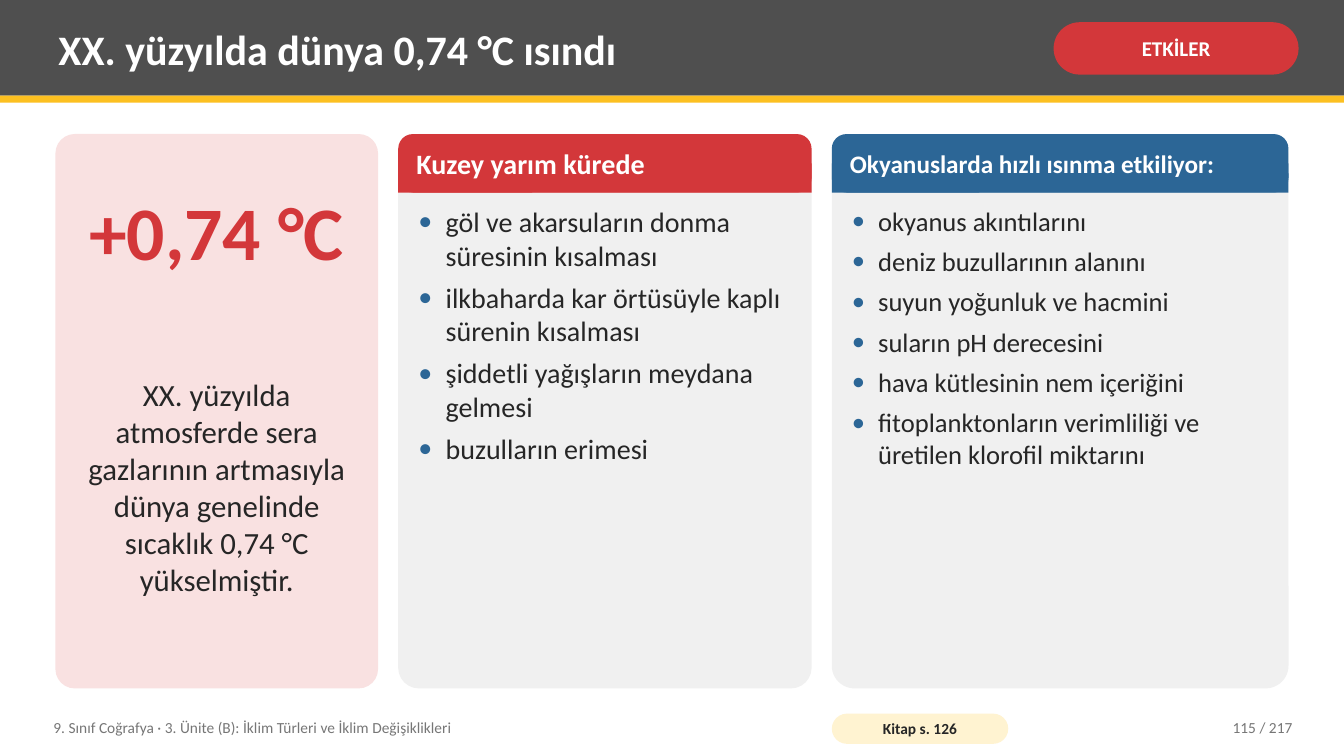
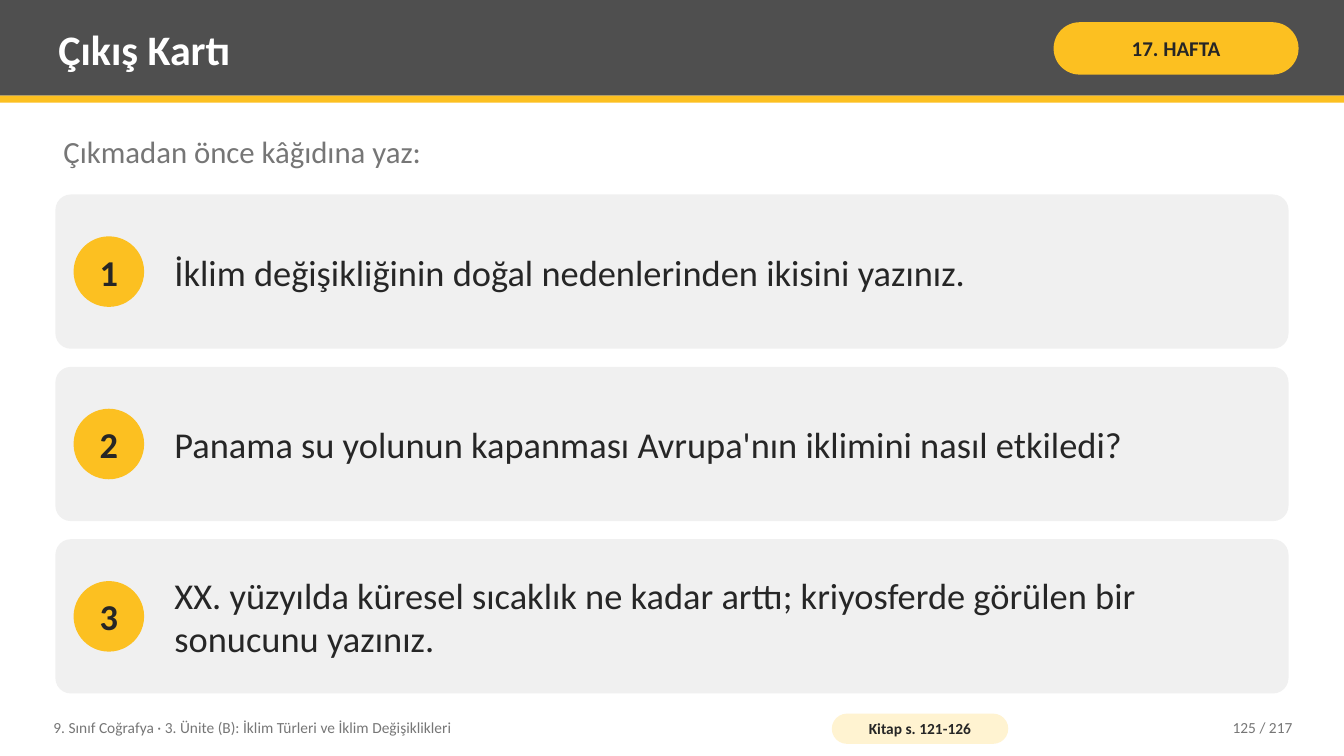
import pptx
import pptx.util
import pptx.dml.color
import pptx.enum.shapes
import pptx.enum.text
import pptx.oxml.ns
import lxml.etree

Inches = pptx.util.Inches
Pt = pptx.util.Pt
RGB = pptx.dml.color.RGBColor.from_string
SHAPE = pptx.enum.shapes.MSO_SHAPE
ALIGN = pptx.enum.text.PP_ALIGN
ANCHOR = pptx.enum.text.MSO_ANCHOR

COURSE = "9. Sınıf Coğrafya · 3. Ünite (B): İklim Türleri ve İklim Değişiklikleri"
TOTAL = 217

WARMING = {
    "title": "XX. yüzyılda dünya 0,74 °C ısındı",
    "tag": ("ETKİLER", "red", "white"),
    "book": "Kitap s. 126",
    "page": 115,
    "figure": "+0,74 °C",
    "note": "XX. yüzyılda atmosferde sera gazlarının artmasıyla dünya genelinde "
            "sıcaklık 0,74 °C yükselmiştir.",
    "cards": [
        {"head": "Kuzey yarım kürede", "color": "red", "width": 4.1,
         "head_size": 20, "size": 20, "indent": 0.27,
         "items": ["göl ve akarsuların donma süresinin kısalması",
                   "ilkbaharda kar örtüsüyle kaplı sürenin kısalması",
                   "şiddetli yağışların meydana gelmesi",
                   "buzulların erimesi"]},
        {"head": "Okyanuslarda hızlı ısınma etkiliyor:", "color": "blue", "width": 4.53,
         "head_size": 18, "size": 19, "indent": 0.26,
         "items": ["okyanus akıntılarını",
                   "deniz buzullarının alanını",
                   "suyun yoğunluk ve hacmini",
                   "suların pH derecesini",
                   "hava kütlesinin nem içeriğini",
                   "fitoplanktonların verimliliği ve üretilen klorofil miktarını"]},
    ],
}

EXIT_CARD = {
    "title": "Çıkış Kartı",
    "tag": ("17. HAFTA", "yellow", "ink"),
    "book": "Kitap s. 121-126",
    "page": 125,
    "prompt": "Çıkmadan önce kâğıdına yaz:",
    "questions": [
        "İklim değişikliğinin doğal nedenlerinden ikisini yazınız.",
        "Panama su yolunun kapanması Avrupa'nın iklimini nasıl etkiledi?",
        "XX. yüzyılda küresel sıcaklık ne kadar arttı; kriyosferde görülen bir "
        "sonucunu yazınız.",
    ],
}

THEME = {
    "font": "Calibri",
    "colors": {"band": "4F4F4F", "yellow": "FCC021", "red": "D3373A", "blue": "2C6696",
               "pink": "F9E1E1", "card": "F0F0F0", "cream": "FFF3D1", "ink": "262626",
               "muted": "767676", "white": "FFFFFF"},
    "sizes": {"title": 30, "tag": 15, "figure": 54, "body": 22, "question": 26, "footer": 11},
}
SIZES = THEME["sizes"]
WIDTH, HEIGHT = 13.33, 7.5
LEFT, CONTENT_W = 0.55, 12.23


def color(name):
    return RGB(THEME["colors"][name])


def write(sp, lines, size, ink="ink", bold=False, align=ALIGN.LEFT,
          anchor=ANCHOR.MIDDLE, inset=(0.08, 0.04), wrap=True, after=0):
    tf = sp.text_frame
    dx, dy = map(Inches, inset)
    frame = {"margin_left": dx, "margin_right": dx, "margin_top": dy, "margin_bottom": dy,
             "vertical_anchor": anchor, "word_wrap": wrap}
    for name, value in frame.items():
        setattr(tf, name, value)
    for i, line in enumerate(lines):
        p = tf.add_paragraph() if i else tf.paragraphs[0]
        p.alignment = align
        if after and i < len(lines) - 1:
            p.space_after = Pt(after)
        r = p.add_run()
        r.text = line
        style = {"name": THEME["font"], "size": Pt(size), "bold": bold}
        for name, value in style.items():
            setattr(r.font, name, value)
        r.font.color.rgb = color(ink)
    return tf


def add_text(s, box, text, size, **style):
    lines = text if isinstance(text, list) else [text]
    return write(s.shapes.add_textbox(*map(Inches, box)), lines, size, **style)


def add_block(s, kind, box, fill, radius=None):
    sp = s.shapes.add_shape(kind, *map(Inches, box))
    sp.shadow.inherit = False
    sp.fill.solid()
    sp.fill.fore_color.rgb = color(fill)
    sp.line.fill.background()
    if radius is not None:
        sp.adjustments[0] = radius
    return sp


def add_pill(s, box, fill, text, size, inset, ink="ink"):
    sp = add_block(s, SHAPE.ROUNDED_RECTANGLE, box, fill, 0.5)
    write(sp, [text], size, ink=ink, bold=True, align=ALIGN.CENTER, inset=inset)


def add_bullets(tf, indent):
    qn = pptx.oxml.ns.qn
    for p in tf.paragraphs:
        pPr = p._p.get_or_add_pPr()
        pPr.set("marL", str(Inches(indent)))
        pPr.set("indent", str(-Inches(indent)))
        clr = lxml.etree.SubElement(pPr, qn("a:buClr"))
        lxml.etree.SubElement(clr, qn("a:srgbClr"), val=THEME["colors"]["blue"])
        lxml.etree.SubElement(pPr, qn("a:buFont"), typeface=THEME["font"])
        lxml.etree.SubElement(pPr, qn("a:buChar"), char="•")


def add_base(prs, data):
    s = prs.slides.add_slide(prs.slide_layouts[6])
    add_block(s, SHAPE.RECTANGLE, (0, 0, WIDTH, 0.95), "band")
    add_block(s, SHAPE.RECTANGLE, (0, 0.95, WIDTH, 0.07), "yellow")
    add_text(s, (0.5, 0.07, 9.75, 0.82), data["title"], SIZES["title"], ink="white", bold=True)
    tag, fill, ink = data["tag"]
    add_pill(s, (10.45, 0.22, 2.43, 0.52), fill, tag, SIZES["tag"], (0.05, 0.02), ink)
    add_text(s, (0.45, 7.04, 7.6, 0.36), COURSE, SIZES["footer"], ink="muted")
    add_pill(s, (8.25, 7.08, 1.75, 0.3), "cream", data["book"], SIZES["footer"], (0.04, 0))
    add_text(s, (11.3, 7.04, 1.6, 0.36), f"{data['page']} / {TOTAL}", SIZES["footer"],
             ink="muted", align=ALIGN.RIGHT)
    return s


def add_card(s, card, x, top, height):
    w, head_h = card["width"], 0.58
    add_block(s, SHAPE.ROUNDED_RECTANGLE, (x, top, w, height), "card", 0.05)
    add_block(s, SHAPE.ROUNDED_RECTANGLE, (x, top, w, head_h), card["color"], 0.25)
    add_block(s, SHAPE.RECTANGLE, (x, top + head_h / 2, w, head_h / 2), card["color"])
    add_text(s, (x + 0.1, top, w - 0.2, head_h), card["head"], card["head_size"],
             ink="white", bold=True)
    tf = add_text(s, (x + 0.12, top + head_h + 0.08, w - 0.24, height - head_h - 0.16),
                  card["items"], card["size"], anchor=ANCHOR.TOP, after=6)
    add_bullets(tf, card["indent"])


def build_warming(prs, data):
    s = add_base(prs, data)
    top, height, figure_w, gap = 1.33, 5.5, 3.2, 0.2
    add_block(s, SHAPE.ROUNDED_RECTANGLE, (LEFT, top, figure_w, height), "pink", 0.06)
    add_text(s, (LEFT, top + 0.3, figure_w, 1.3), data["figure"], SIZES["figure"],
             ink="red", bold=True, align=ALIGN.CENTER)
    add_text(s, (LEFT + 0.15, top + 1.75, figure_w - 0.3, 3.5), data["note"], SIZES["body"],
             align=ALIGN.CENTER)
    x = LEFT + figure_w + gap
    for card in data["cards"]:
        add_card(s, card, x, top, height)
        x += card["width"] + gap


def build_exit_card(prs, data):
    s = add_base(prs, data)
    add_text(s, (LEFT, 1.28, CONTENT_W, 0.55), data["prompt"], SIZES["body"],
             ink="muted", anchor=ANCHOR.TOP)
    top, row_h, gap, dot = 1.93, 1.53, 0.18, 0.7
    for i, question in enumerate(data["questions"]):
        y = top + i * (row_h + gap)
        add_block(s, SHAPE.ROUNDED_RECTANGLE, (LEFT, y, CONTENT_W, row_h), "card", 0.1)
        sp = add_block(s, SHAPE.OVAL, (LEFT + 0.18, y + (row_h - dot) / 2, dot, dot), "yellow")
        write(sp, [str(i + 1)], SIZES["question"], bold=True, align=ALIGN.CENTER,
              inset=(0, 0), wrap=False)
        add_text(s, (LEFT + 1.1, y, CONTENT_W - 1.3, row_h), question, SIZES["question"])


def main():
    prs = pptx.Presentation()
    prs.slide_width, prs.slide_height = Inches(WIDTH), Inches(HEIGHT)
    build_warming(prs, WARMING)
    build_exit_card(prs, EXIT_CARD)
    prs.save("out.pptx")


if __name__ == "__main__":
    main()
